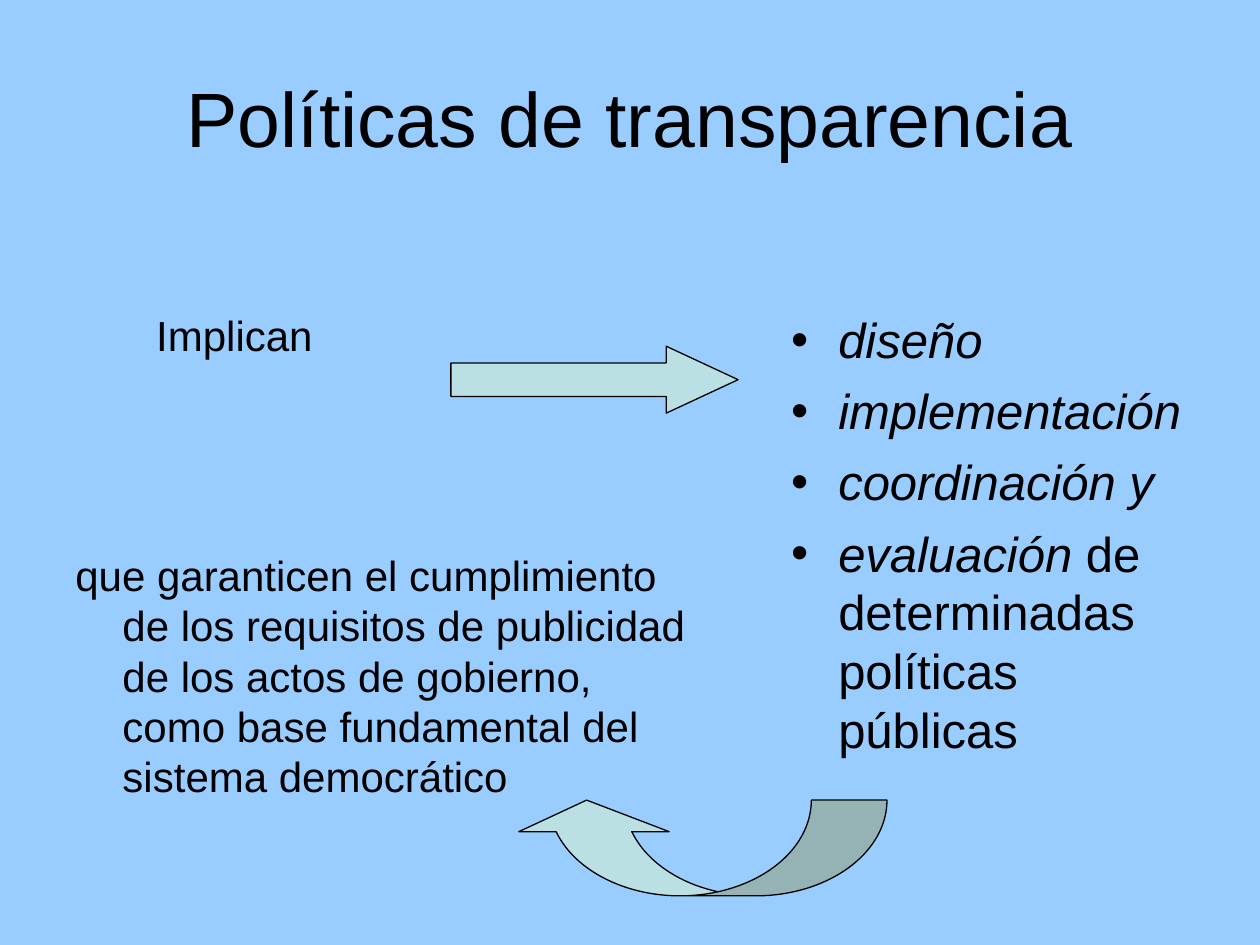
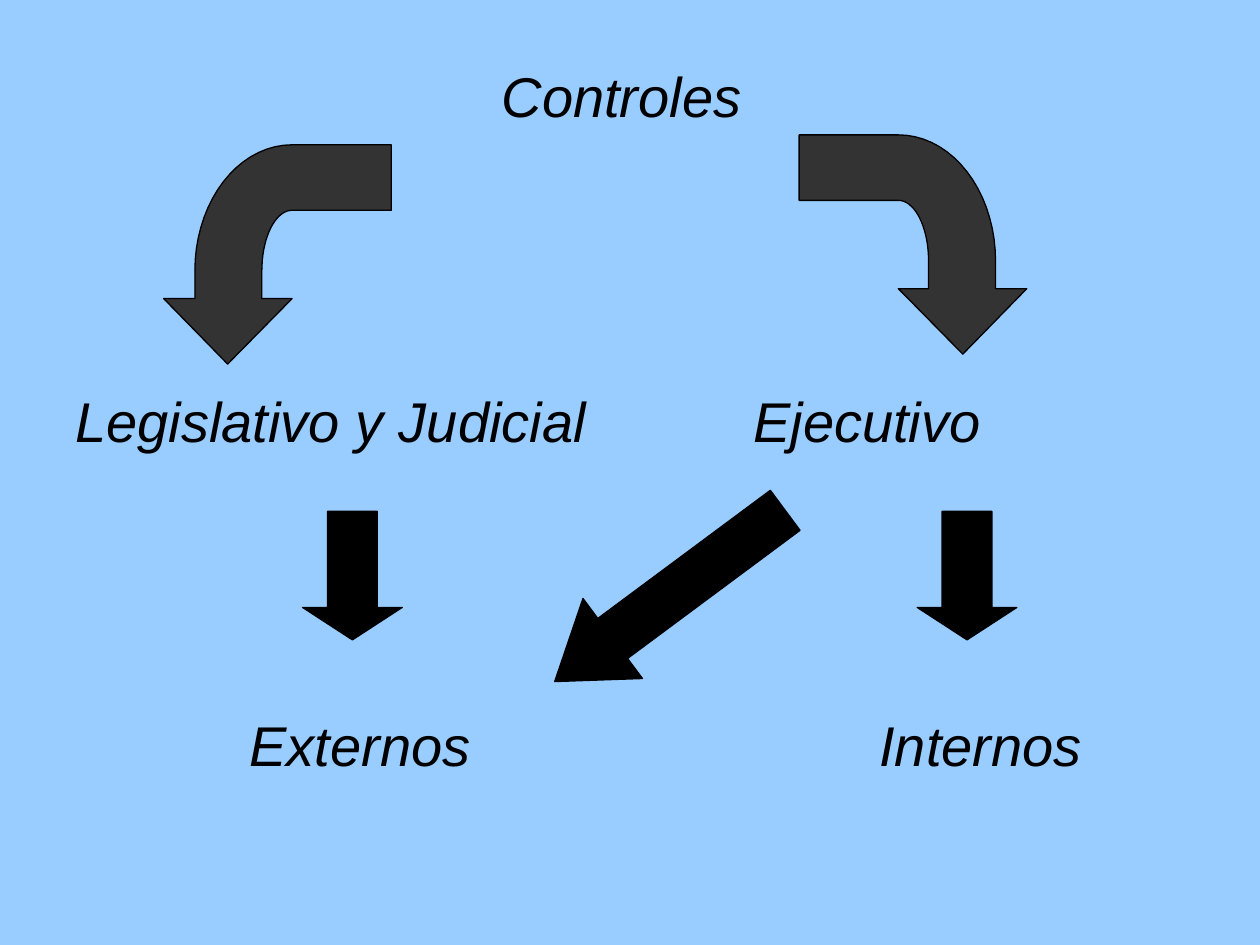
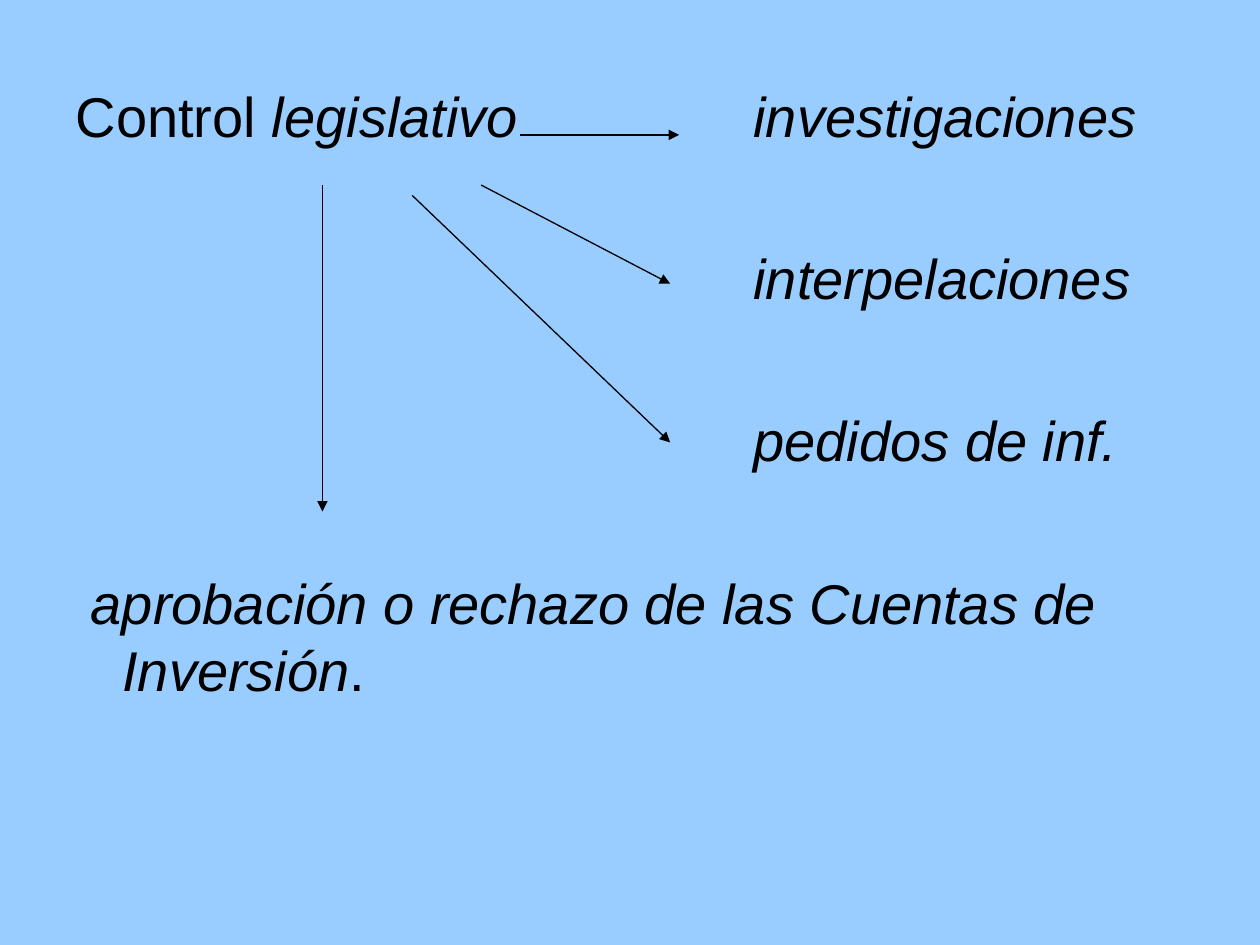
from dataclasses import dataclass
from math import cos, radians, sin

from lxml.etree import SubElement
from pptx import Presentation
from pptx.dml.color import RGBColor
from pptx.enum.shapes import MSO_CONNECTOR, MSO_SHAPE
from pptx.enum.text import MSO_ANCHOR, MSO_AUTO_SIZE, PP_ALIGN
from pptx.oxml.ns import qn
from pptx.util import Cm, Pt


@dataclass(frozen=True)
class Theme:
    font: str = "Arial"
    sky: RGBColor = RGBColor(0x99, 0xCC, 0xFF)
    ink: RGBColor = RGBColor(0, 0, 0)
    mint: RGBColor = RGBColor(0xBB, 0xE0, 0xE3)
    charcoal: RGBColor = RGBColor(0x33, 0x33, 0x33)
    title: int = 44
    large: int = 32
    medium: int = 28
    small: int = 24
    line: float = 0.75
    hang: float = 0.95


THEME = Theme()

POLICY_TITLE = [[("Políticas de transparencia", False)]]
IMPLIES = [[("Implican", False)]]
PURPOSE = [[("que garanticen el cumplimiento de los requisitos de publicidad de los "
             "actos de gobierno, como base fundamental del sistema democrático", False)]]
STAGES = [
    [("diseño", True)],
    [("implementación", True)],
    [("coordinación y", True)],
    [("evaluación", True), (" de determinadas políticas públicas", False)],
]

CONTROLS_TITLE = [[("Controles", True)]]
CONTROL_ROWS = [
    [("Legislativo y Judicial", 1.27), ("Ejecutivo", 14.94)],
    [("Externos", 4.78), ("Internos", 17.48)],
]
BENDS = [(18.11, 5.26, 1), (5.89, 5.46, -1)]
DOWN_ARROWS = [
    (6.1, 10.31, 2.59, 0.325, 0),
    (12.5, 9.12, 5.79, 0.725, 53.4),
    (18.49, 10.31, 2.59, 0.325, 0),
]

LEGISLATIVE_TITLE = [[("Control ", False), ("legislativo", True)]]
POWERS = ["investigaciones", "interpelaciones", "pedidos de inf."]
ACCOUNTS = [[("aprobación o rechazo de las Cuentas de Inversión", True), (".", False)]]
POWER_ARROWS = [
    (10.49, 2.72, 13.69, 2.72),
    (9.7, 3.73, 13.51, 5.72),
    (8.31, 3.94, 13.51, 8.92),
    (6.5, 3.73, 6.5, 10.31),
]


def write(shape, paragraphs, size, hang=0, margin=0, bullet=False, gap=0,
          align=PP_ALIGN.LEFT, anchor=MSO_ANCHOR.TOP):
    frame = shape.text_frame
    frame.word_wrap = True
    frame.auto_size = MSO_AUTO_SIZE.NONE
    frame.vertical_anchor = anchor
    for index, spans in enumerate(paragraphs):
        para = frame.paragraphs[0] if index == 0 else frame.add_paragraph()
        para.alignment = align
        para.space_before = Pt(gap if index else 0)
        properties = para._p.get_or_add_pPr()
        properties.set("marL", str(Cm(margin)))
        properties.set("indent", str(-Cm(hang)))
        if bullet:
            SubElement(properties, qn("a:buFont"), typeface=THEME.font)
            SubElement(properties, qn("a:buChar"), char="•")
        for text, italic in spans:
            span = para.add_run()
            span.text = text
            span.font.name = THEME.font
            span.font.size = Pt(size)
            span.font.italic = italic
            span.font.color.rgb = THEME.ink


def add_text(page, area, paragraphs, size, **style):
    box = page.shapes.add_textbox(*map(Cm, area))
    write(box, paragraphs, size, **style)


def add_page(deck, area, title, size, **style):
    page = deck.slides.add_slide(deck.slide_layouts[5])
    heading = page.shapes.title
    heading.left, heading.top, heading.width, heading.height = map(Cm, area)
    write(heading, title, size, **style)
    return page


def paint(shape, color):
    shape.shadow.inherit = False
    shape.fill.solid()
    shape.fill.fore_color.rgb = color
    shape.line.color.rgb = THEME.ink
    shape.line.width = Pt(THEME.line)


def add_arrow(page, kind, area, color, adjustments, rotation=0):
    arrow = page.shapes.add_shape(kind, *map(Cm, area))
    arrow.rotation = rotation
    for index, value in enumerate(adjustments):
        arrow.adjustments[index] = value
    paint(arrow, color)


def quarter(width, height, start, end):
    step = 5 if end > start else -5
    angles = map(radians, range(start, end + step, step))
    return [(width * cos(angle), -height * sin(angle)) for angle in angles]


def add_bend(page, left, top, side):
    outline = [(1.3, 1.88), (2.59, 0.56), (1.96, 0.56),
               *quarter(1.96, 2.54, 0, 90), (-2, -2.54), (-2, -1.22),
               *quarter(0.61, 1.22, 90, 0), (0.61, 0.56), (0, 0.56)]
    points = [(Cm(left + side * x), Cm(top + y)) for x, y in outline]
    builder = page.shapes.build_freeform(*points[0])
    builder.add_line_segments(points[1:], close=True)
    paint(builder.convert_to_shape(), THEME.charcoal)


def add_pointer(page, ends):
    pointer = page.shapes.add_connector(MSO_CONNECTOR.STRAIGHT, *map(Cm, ends))
    pointer.line.color.rgb = THEME.ink
    pointer.line.width = Pt(THEME.line)
    SubElement(pointer.line._get_or_add_ln(), qn("a:tailEnd"), type="triangle")
    SubElement(pointer._element.spPr, qn("a:effectLst"))


def build_policies(deck):
    page = add_page(deck, (1.27, 0.76, 22.86, 3.18), POLICY_TITLE, THEME.title,
                    align=PP_ALIGN.CENTER, anchor=MSO_ANCHOR.MIDDLE)
    hanging = {"hang": THEME.hang, "margin": THEME.hang}
    add_text(page, (2.9, 6.12, 6.83, 2.69), IMPLIES, THEME.small, **hanging)
    add_text(page, (1.27, 10.95, 12.83, 6.38), PURPOSE, THEME.small, **hanging)
    add_text(page, (15.7, 6.12, 8.43, 10.08), STAGES, THEME.medium,
             bullet=True, gap=7, **hanging)
    add_arrow(page, MSO_SHAPE.RIGHT_ARROW, (9.09, 6.98, 5.79, 1.35),
              THEME.mint, (0.5, 1.074))
    add_arrow(page, MSO_SHAPE.CURVED_LEFT_ARROW, (13.13, 13.31, 1.93, 7.57),
              THEME.mint, (0.79, 1.57, 0.33), 90)


def build_controls(deck):
    top, pitch = 1.12, 6.54
    page = add_page(deck, (9.86, top, 6, 1.8), CONTROLS_TITLE, THEME.large)
    for row, labels in enumerate(CONTROL_ROWS, start=1):
        for label, left in labels:
            add_text(page, (left, top + row * pitch, 12, 1.8),
                     [[(label, True)]], THEME.large)
    for bend in BENDS:
        add_bend(page, *bend)
    for left, arrow_top, height, head, rotation in DOWN_ARROWS:
        add_arrow(page, MSO_SHAPE.DOWN_ARROW, (left, arrow_top, 2.01, height),
                  THEME.ink, (0.5, head), rotation)


def build_legislative(deck):
    top, pitch = 1.52, 3.27
    page = add_page(deck, (1.27, top, 10, 1.8), LEGISLATIVE_TITLE, THEME.large)
    for row, power in enumerate(POWERS):
        add_text(page, (14.94, top + row * pitch, 9.19, 1.8),
                 [[(power, True)]], THEME.large)
    add_text(page, (1.27, top + len(POWERS) * pitch, 22.86, 3.2), ACCOUNTS,
             THEME.large, hang=0.64, margin=THEME.hang)
    for ends in POWER_ARROWS:
        add_pointer(page, ends)


def main():
    deck = Presentation()
    deck.slide_width, deck.slide_height = Cm(25.4), Cm(19.05)
    background = deck.slide_master.background.fill
    background.solid()
    background.fore_color.rgb = THEME.sky
    build_policies(deck)
    build_controls(deck)
    build_legislative(deck)
    deck.save("out.pptx")


if __name__ == "__main__":
    main()
